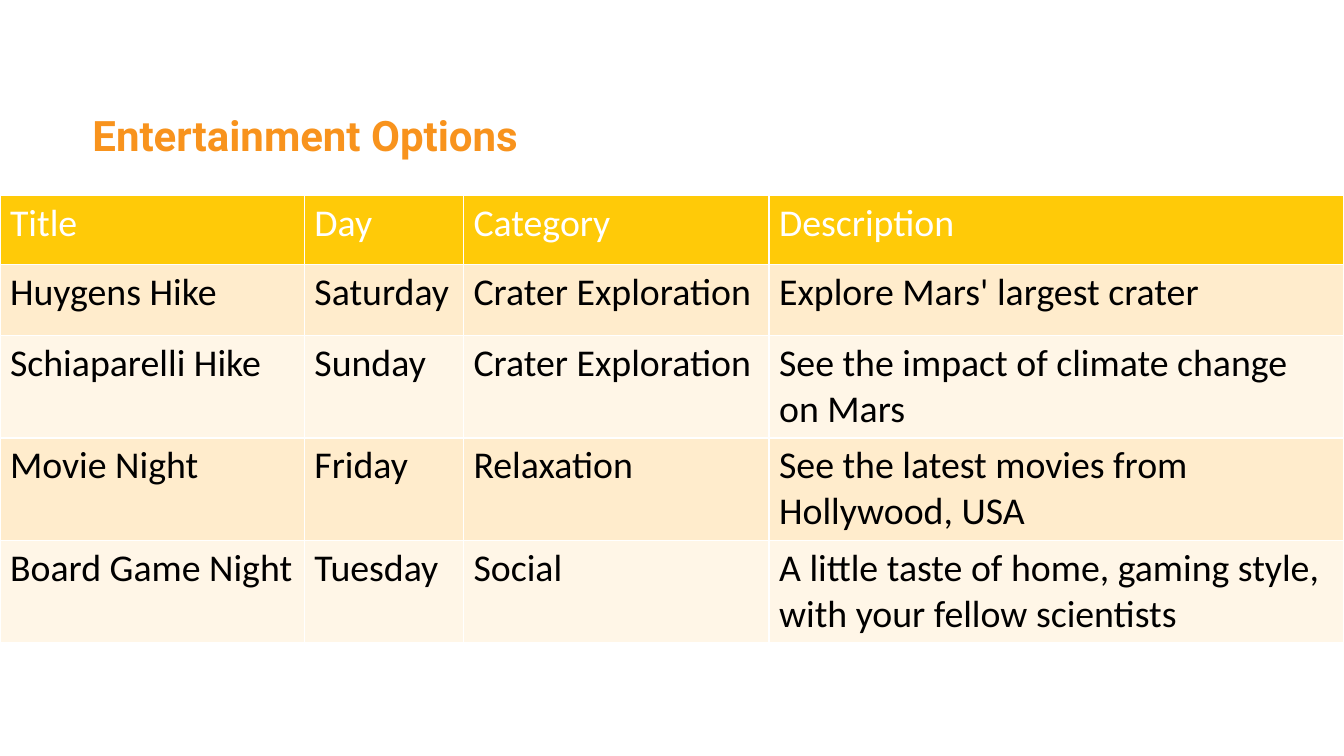
"""Build the Entertainment Options slide with its table of activities."""
from pptx import Presentation
from pptx.dml.color import RGBColor
from pptx.enum.text import MSO_ANCHOR, PP_ALIGN
from pptx.util import Cm, Pt


def add_run(paragraph, text, font_name, size, color, bold=False):
    run = paragraph.add_run()
    run.text = text
    run.font.name = font_name
    run.font.size = Pt(size)
    run.font.bold = bold
    run.font.color.rgb = RGBColor.from_string(color)


presentation = Presentation()
presentation.slide_width = Cm(33.87)
presentation.slide_height = Cm(19.05)
slide = presentation.slides.add_slide(presentation.slide_layouts[5])

title = slide.shapes.title
title.left, title.top, title.width, title.height = Cm(2.33), Cm(2.9), Cm(29.21), Cm(1.78)
title_frame = title.text_frame
title_frame.margin_left = title_frame.margin_right = 0
title_frame.margin_top = title_frame.margin_bottom = 0
title_frame.vertical_anchor = MSO_ANCHOR.TOP
title_paragraph = title_frame.paragraphs[0]
title_paragraph.alignment = PP_ALIGN.LEFT
title_paragraph.line_spacing = 0.9
add_run(title_paragraph, "Entertainment Options", "Roboto", 30, "F8931D", bold=True)

activities = [
    ("Title", "Day", "Category", "Description"),
    ("Huygens Hike", "Saturday", "Crater Exploration", "Explore Mars' largest crater"),
    ("Schiaparelli Hike", "Sunday", "Crater Exploration",
     "See the impact of climate change on Mars"),
    ("Movie Night", "Friday", "Relaxation", "See the latest movies from Hollywood, USA"),
    ("Board Game Night", "Tuesday", "Social",
     "A little taste of home, gaming style, with your fellow scientists"),
]
column_widths = [7.67, 4.01, 7.7, 14.49]
row_heights = [1.73, 1.8, 2.57, 2.57, 2.57]
band_fills = ["FFF6E7", "FFECCC"]

table = slide.shapes.add_table(
    len(activities), len(column_widths),
    Cm(0), Cm(4.93), Cm(sum(column_widths)), Cm(sum(row_heights)),
).table
for column, width in zip(table.columns, column_widths):
    column.width = Cm(width)

for row_index, (row, height, texts) in enumerate(zip(table.rows, row_heights, activities)):
    row.height = Cm(height)
    is_header = row_index == 0
    fill_color = "FFCA08" if is_header else band_fills[row_index % 2]
    text_color = "FFFFFF" if is_header else "000000"
    for cell, text in zip(row.cells, texts):
        cell.fill.solid()
        cell.fill.fore_color.rgb = RGBColor.from_string(fill_color)
        add_run(cell.text_frame.paragraphs[0], text, "Calibri", 27, text_color)

presentation.save("out.pptx")
